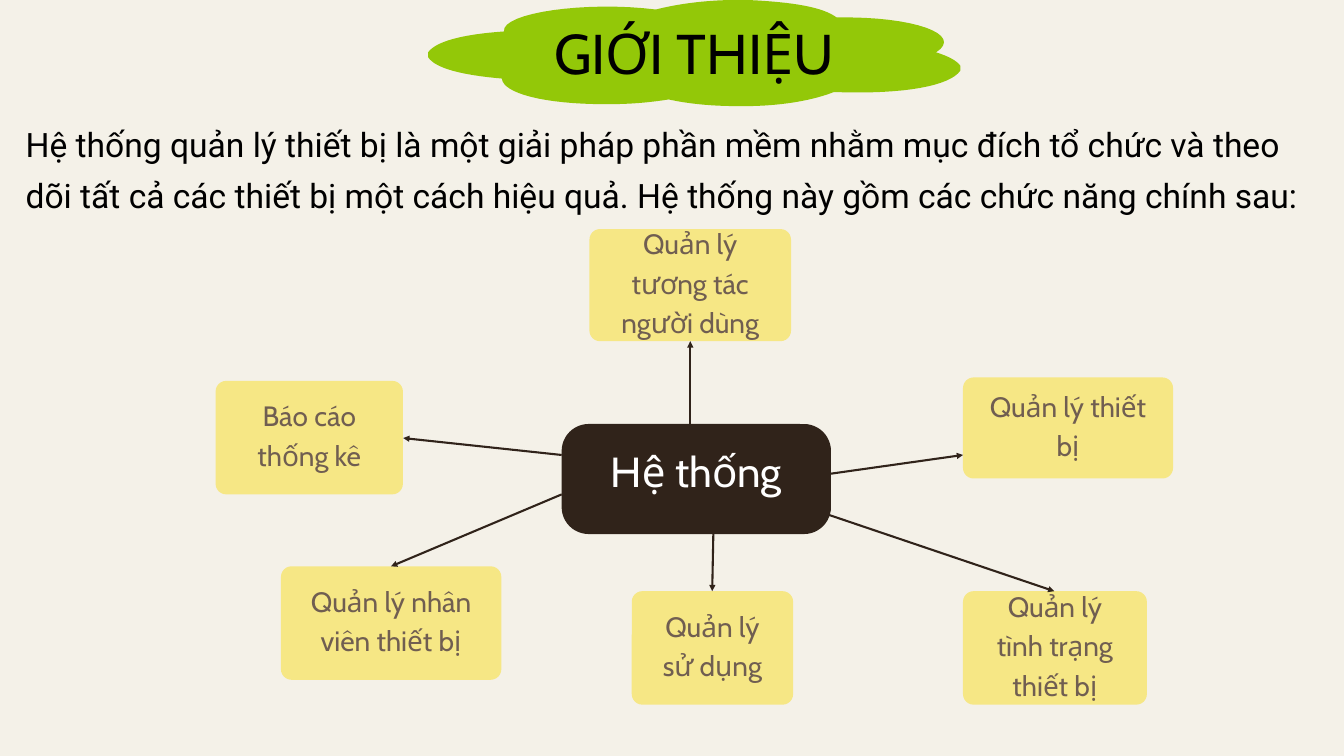
from lxml import etree
from pptx import Presentation
from pptx.dml.color import RGBColor
from pptx.enum.shapes import MSO_CONNECTOR, MSO_SHAPE
from pptx.enum.text import MSO_ANCHOR, PP_ALIGN
from pptx.oxml.ns import qn
from pptx.util import Cm, Pt

STRAIGHT = MSO_CONNECTOR.STRAIGHT
ROUNDED = MSO_SHAPE.ROUNDED_RECTANGLE
MIDDLE = MSO_ANCHOR.MIDDLE
LEFT, CENTER = PP_ALIGN.LEFT, PP_ALIGN.CENTER

COLORS = {
    "background": "F4F1E8",
    "splash": "93C808",
    "ink": "000000",
    "hub": "30231A",
    "hub_text": "FFFFFF",
    "function": "F6E785",
    "function_text": "705E51",
}

TITLE = "GIỚI THIỆU"
INTRO = (
    "Hệ thống quản lý thiết bị là một giải pháp phần mềm nhằm mục đích "
    "tổ chức và theo dõi tất cả các thiết bị một cách hiệu quả. "
    "Hệ thống này gồm các chức năng chính sau:"
)
HUB = ("Hệ thống", 21.23, 16.03, 10.18, 4.16)

FUNCTIONS = [
    ("Quản lý tương tác người dùng", 22.28, 8.66, 7.62, 4.24),
    ("Quản lý tình trạng thiết bị", 36.4, 22.35, 6.95, 4.29),
    ("Quản lý thiết bị", 36.4, 14.27, 7.94, 3.82),
    ("Quản lý sử dụng", 23.88, 22.35, 6.1, 4.29),
    ("Báo cáo thống kê", 8.15, 14.4, 7.08, 4.29),
    ("Quản lý nhân viên thiết bị", 10.62, 21.41, 8.33, 4.29),
]

ARROWS = [
    (26.09, 16.59, 26.09, 12.9),
    (29.97, 18.11, 36.4, 17.2),
    (21.23, 17.2, 15.24, 16.56),
    (21.23, 18.69, 14.78, 21.41),
    (30.99, 19.35, 39.85, 22.35),
    (26.97, 19.81, 26.92, 22.35),
]

SPLASH_START = (27.61, 0)
SPLASH_CURVES = [
    ((27.81, 0), (28.04, 0), (28.27, 0)),
    ((30.02, 0.08), (31.12, 0.28), (31.62, 0.66)),
    ((34.54, 0.61), (36.45, 1.3), (35.38, 1.98)),
    ((35.81, 2.11), (36.17, 2.29), (36.3, 2.49)),
    ((36.3, 2.54), (36.3, 2.62), (36.3, 2.67)),
    ((35.92, 3.23), (34.24, 3.58), (31.52, 3.48)),
    ((30.81, 3.76), (29.54, 4.06), (27.61, 4.01)),
    ((26.59, 3.99), (25.88, 3.89), (25.27, 3.76)),
    ((24.64, 3.86), (23.93, 3.94), (22.91, 3.94)),
    ((20.57, 3.94), (19.02, 3.53), (18.97, 2.97)),
    ((17.48, 2.84), (16.46, 2.59), (16.18, 2.16)),
    ((16.18, 2.11), (16.18, 2.03), (16.18, 1.98)),
    ((16.48, 1.57), (17.45, 1.3), (19.05, 1.19)),
    ((18.95, 0.48), (22.17, 0.03), (24.79, 0.36)),
    ((25.43, 0.2), (26.34, 0.03), (27.61, 0)),
]
CURVE_STEPS = 16


def color(name):
    return RGBColor.from_string(COLORS[name])


def paint(shape, fill):
    shape.shadow.inherit = False
    shape.fill.solid()
    shape.fill.fore_color.rgb = color(fill)
    shape.line.fill.background()


def write(shape, text, size, leading, ink, font="Cabin", align=CENTER,
          margins=(0, 0, 0, 0)):
    frame = shape.text_frame
    frame.word_wrap = True
    frame.margin_left, frame.margin_top, frame.margin_right, frame.margin_bottom = (
        Cm(margin) for margin in margins
    )
    frame.text = text
    paragraph = frame.paragraphs[0]
    paragraph.alignment = align
    paragraph.line_spacing = Pt(leading)
    run_font = paragraph.runs[0].font
    run_font.name = font
    run_font.size = Pt(size)
    run_font.color.rgb = color(ink)


def curve_points(start, curves):
    for first, second, end in curves:
        for step in range(1, CURVE_STEPS + 1):
            t = step / CURVE_STEPS
            u = 1 - t
            yield tuple(
                Cm(u**3 * a + 3 * u * u * t * b + 3 * u * t * t * c + t**3 * d)
                for a, b, c, d in zip(start, first, second, end)
            )
        start = end


def add_splash(slide):
    x, y = SPLASH_START
    outline = slide.shapes.build_freeform(Cm(x), Cm(y))
    outline.add_line_segments(list(curve_points(SPLASH_START, SPLASH_CURVES)))
    paint(outline.convert_to_shape(), "splash")


def add_text(slide, bounds, text, size, leading, **style):
    box = slide.shapes.add_textbox(*map(Cm, bounds))
    write(box, text, size, leading, "ink", **style)


def add_card(slide, card, fill, radius, size, leading, lift):
    text, left, top, width, height = card
    shape = slide.shapes.add_shape(
        ROUNDED, Cm(left), Cm(top), Cm(width), Cm(height)
    )
    shape.adjustments[0] = radius / min(width, height)
    paint(shape, fill)
    shape.text_frame.vertical_anchor = MIDDLE
    write(shape, text, size, leading, f"{fill}_text", margins=(0.6, 0, 0.6, lift))


def add_arrow(slide, ends):
    arrow = slide.shapes.add_connector(STRAIGHT, *map(Cm, ends))
    arrow.line.color.rgb = color("hub")
    arrow.line.width = Pt(2.25)
    line = arrow.line._get_or_add_ln()
    etree.SubElement(line, qn("a:tailEnd"), type="triangle")
    etree.SubElement(line.getparent(), qn("a:effectLst"))


def main():
    deck = Presentation()
    deck.slide_width, deck.slide_height = Cm(50.8), Cm(28.58)
    slide = deck.slides.add_slide(deck.slide_layouts[6])
    slide.background.fill.solid()
    slide.background.fill.fore_color.rgb = color("background")

    add_splash(slide)
    add_text(slide, (0.97, 4.32, 48.87, 3.71), INTRO, 36, 54,
             font="Roboto", align=LEFT)
    add_text(slide, (17.58, 0.71, 17.32, 2.57), TITLE, 60, 72)
    for function in FUNCTIONS:
        add_card(slide, function, "function", 0.4, 30, 42, 0.38)
    for ends in ARROWS:
        add_arrow(slide, ends)
    add_card(slide, HUB, "hub", 1.02, 45, 63, 0.91)

    deck.save("out.pptx")


if __name__ == "__main__":
    main()
